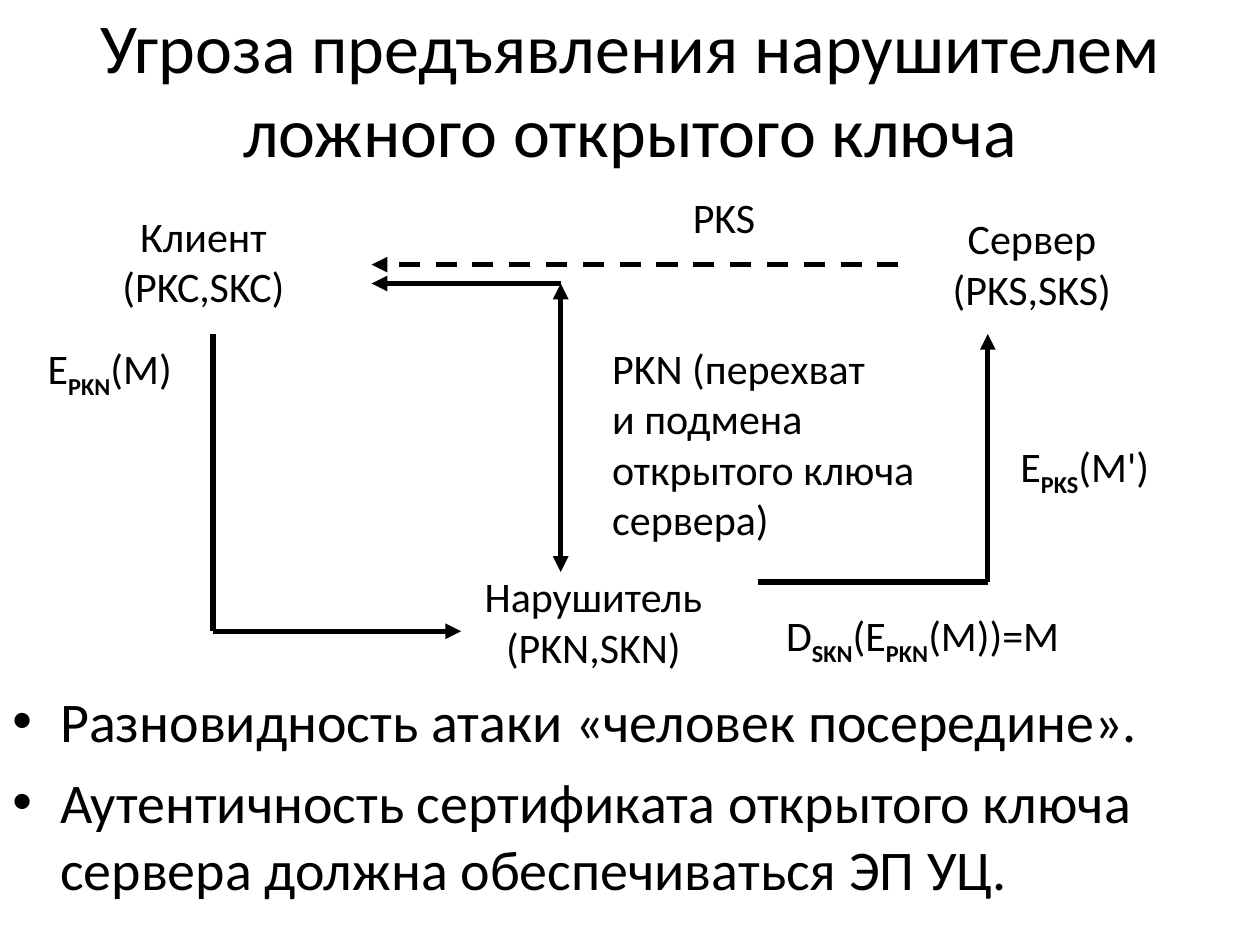
"""Build a slide on the threat of an intruder presenting a false public key."""
from lxml import etree
from pptx import Presentation
from pptx.dml.color import RGBColor
from pptx.enum.dml import MSO_LINE_DASH_STYLE as Dash
from pptx.enum.shapes import MSO_CONNECTOR as Connector
from pptx.enum.text import MSO_ANCHOR as Anchor, MSO_AUTO_SIZE as AutoSize, PP_ALIGN as Align
from pptx.oxml.ns import qn
from pptx.util import Inches, Pt

BLACK = RGBColor(0, 0, 0)
WHITE = RGBColor(255, 255, 255)
FONT = "Calibri"

presentation = Presentation()
presentation.slide_width = Inches(10)
presentation.slide_height = Inches(7.5)
slide = presentation.slides.add_slide(presentation.slide_layouts[6])
slide.background.fill.solid()
slide.background.fill.fore_color.rgb = WHITE


def add_text(text, left, top, width, height, size=24, align=Align.LEFT,
             anchor=Anchor.TOP, wrap=False, bullet=False):
    """Add a text box; newlines split paragraphs, \\v breaks lines, underscores enclose subscripts."""
    shape = slide.shapes.add_textbox(Inches(left), Inches(top), Inches(width), Inches(height))
    frame = shape.text_frame
    frame.word_wrap = wrap
    frame.auto_size = AutoSize.NONE if wrap else AutoSize.SHAPE_TO_FIT_TEXT
    frame.vertical_anchor = anchor
    for number, content in enumerate(text.split("\n")):
        paragraph = frame.add_paragraph() if number else frame.paragraphs[0]
        paragraph.alignment = align
        if bullet:
            paragraph.space_before = Pt(8)
            properties = paragraph._p.get_or_add_pPr()
            properties.set("marL", str(Inches(0.38)))
            properties.set("indent", str(-Inches(0.38)))
            etree.SubElement(properties, qn("a:buFont"), typeface="Arial")
            etree.SubElement(properties, qn("a:buChar"), char="•")
        for line_number, line in enumerate(content.split("\v")):
            if line_number:
                paragraph.add_line_break()
            for part_number, part in enumerate(line.split("_")):
                run = paragraph.add_run()
                run.text = part
                run.font.name = FONT
                run.font.size = Pt(size)
                run.font.color.rgb = BLACK
                if part_number % 2:
                    run.font.bold = True
                    run.font._element.set("baseline", "-25000")


def add_line(start, end, arrows=(), dashed=False):
    connector = slide.shapes.add_connector(
        Connector.STRAIGHT, *(Inches(value) for value in start + end))
    connector.line.color.rgb = BLACK
    connector.line.width = Pt(3)
    if dashed:
        connector.line.dash_style = Dash.DASH
    outline = connector.line._get_or_add_ln()
    for arrow in arrows:
        etree.SubElement(outline, qn(f"a:{arrow}"), type="triangle")
    etree.SubElement(connector._element.spPr, qn("a:effectLst"))


add_text("Угроза предъявления нарушителем ложного открытого ключа", 0, 0, 10, 1.39,
         size=40, align=Align.CENTER, anchor=Anchor.MIDDLE, wrap=True)
add_text("Разновидность атаки «человек посередине».\n"
         "Аутентичность сертификата открытого ключа сервера должна обеспечиваться ЭП УЦ.",
         0, 5.4, 10, 2.1, size=32, wrap=True, bullet=True)

parties = [
    ("Клиент\v(PKC,SKC)", 0.86, 1.62, 1.51),
    ("Сервер\v(PKS,SKS)", 7.46, 1.64, 1.46),
    ("Нарушитель\v(PKN,SKN)", 3.74, 4.48, 1.94),
]
for text, left, top, width in parties:
    add_text(text, left, top, width, 0.9, align=Align.CENTER)

messages = [
    ("PKS", 5.4, 1.47, 0.7, 0.5),
    ("PKN (перехват\vи подмена\vоткрытого ключа\vсервера)", 4.76, 2.67, 2.61, 1.7),
    ("E_PKN_(M)", 0.28, 2.67, 1.22, 0.56),
    ("D_SKN_(E_PKN_(M))=M", 6.14, 4.79, 2.4, 0.56),
    ("E_PKS_(M')", 8, 3.45, 1.25, 0.56),
]
for message in messages:
    add_text(*message)

client_corner = (1.69, 5.01)
intruder_corner = (4.45, 2.25)
server_corner = (7.84, 4.62)
add_line((7.13, 2.1), (2.95, 2.1), ["tailEnd"], dashed=True)
add_line((4.45, 4.54), intruder_corner, ["headEnd", "tailEnd"])
add_line(intruder_corner, (2.95, 2.25), ["tailEnd"])
add_line((1.69, 2.65), client_corner)
add_line(client_corner, (3.66, 5.01), ["tailEnd"])
add_line((6.02, 4.62), server_corner)
add_line(server_corner, (7.84, 2.65), ["tailEnd"])

presentation.save("out.pptx")
